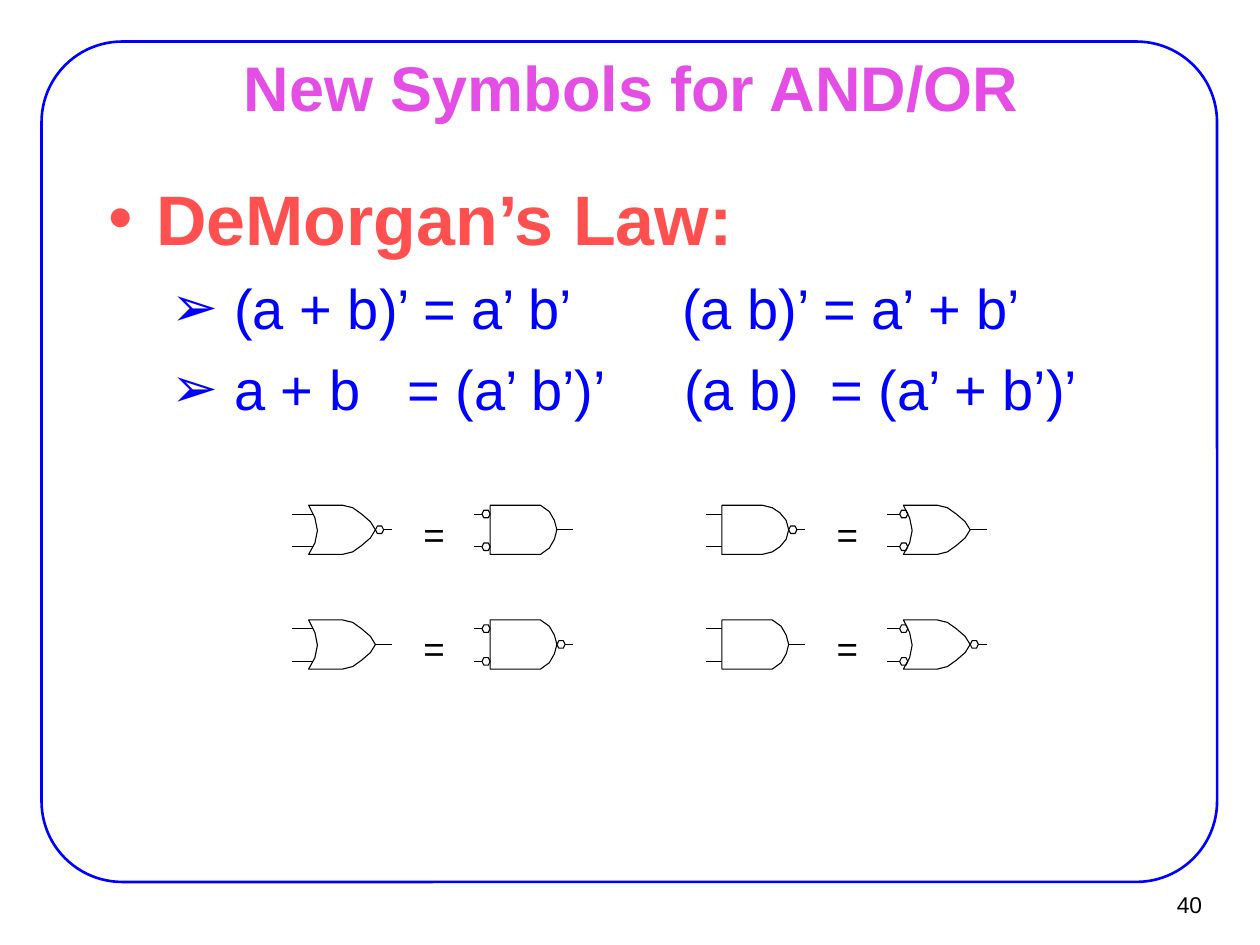
from lxml.etree import SubElement
from pptx import Presentation
from pptx.dml.color import RGBColor
from pptx.enum.shapes import MSO_CONNECTOR, MSO_SHAPE
from pptx.enum.text import MSO_ANCHOR, MSO_AUTO_SIZE, PP_ALIGN
from pptx.oxml.ns import qn
from pptx.util import Inches, Pt

BLACK, BLUE, RED, PINK = "000000", "0000FF", "FF5050", "E44EE4"
GATE_HEIGHT, GATE_WIDTH = 0.39, 0.53
LEAD, BUBBLE = 0.13, 0.065
INPUT_OFFSETS = (0.07, 0.33)
UPPER_CURVES = {
    "or": [(0.27, 0), (0.35, 0.02), (0.42, 0.07), (0.49, 0.13)],
    "and": [(0.4, 0), (0.47, 0.05), (0.51, 0.12)],
    "round and": [(0.32, 0), (0.4, 0.02), (0.46, 0.06), (0.51, 0.12)],
}
OR_BACK = [(0.05, 0.3), (0.07, 0.2), (0.05, 0.1)]
SPACE_POINTS = 8.9


def color(value):
    """Return the colour for a hex string."""
    return RGBColor.from_string(value)


def place(shape, left, top, width, height):
    """Move and size a shape in inches."""
    shape.left, shape.top = Inches(left), Inches(top)
    shape.width, shape.height = Inches(width), Inches(height)


def set_frame(shape, horizontal=0.0, vertical=0.0, wrap=True, anchor=MSO_ANCHOR.TOP):
    """Set margins, wrapping and anchor, and return the text frame."""
    frame = shape.text_frame
    frame.margin_left = frame.margin_right = Inches(horizontal)
    frame.margin_top = frame.margin_bottom = Inches(vertical)
    frame.auto_size = MSO_AUTO_SIZE.NONE
    frame.word_wrap = wrap
    frame.vertical_anchor = anchor
    return frame


def add_text(paragraph, text, size, fill, bold=False, align=PP_ALIGN.LEFT, spacing=0):
    """Append a formatted run to a paragraph."""
    paragraph.alignment = align
    run = paragraph.add_run()
    run.text = text
    run.font.name = "Arial"
    run.font.size = Pt(size)
    run.font.bold = bold
    run.font.color.rgb = color(fill)
    if spacing:
        run.font._element.set("spc", str(round(spacing * 100)))


def set_bullet(paragraph, character, fill, margin, hanging, before):
    """Give a paragraph a coloured bullet and a hanging indent."""
    paragraph.space_before = Pt(before)
    properties = paragraph._p.get_or_add_pPr()
    properties.set("marL", str(Inches(margin)))
    properties.set("indent", str(-Inches(hanging)))
    bullet_color = SubElement(properties, qn("a:buClr"))
    SubElement(bullet_color, qn("a:srgbClr"), val=fill)
    SubElement(properties, qn("a:buChar"), char=character)


def add_equations(paragraph, parts):
    """Write formula parts, widening the space after each by its gap."""
    for text, gap in parts:
        add_text(paragraph, text, 32, BLUE)
        if gap:
            add_text(paragraph, " ", 32, BLUE, spacing=(gap - 1) * SPACE_POINTS)


def outline(shape, fill, width):
    """Leave a shape unfilled with a plain outline."""
    shape.shadow.inherit = False
    shape.fill.background()
    shape.line.color.rgb = color(fill)
    shape.line.width = Pt(width)


def add_wire(group, start, end, top):
    """Add a horizontal wire."""
    wire = group.shapes.add_connector(
        MSO_CONNECTOR.STRAIGHT, Inches(start), Inches(top), Inches(end), Inches(top))
    wire.line.color.rgb = color(BLACK)
    wire.line.width = Pt(0.62)
    SubElement(wire._element.spPr, qn("a:effectLst"))


def add_bubble(group, left, middle):
    """Add an inversion bubble centred on a wire."""
    bubble = group.shapes.add_shape(
        MSO_SHAPE.HEXAGON, Inches(left), Inches(middle - 0.03), Inches(BUBBLE), Inches(0.06))
    outline(bubble, BLACK, 0.62)


def add_gate(group, kind, left, top, inverted_inputs=False, inverted_output=False):
    """Draw a gate body with its two inputs and one output."""
    upper = UPPER_CURVES[kind]
    lower = [(x, GATE_HEIGHT - y) for x, y in reversed(upper)]
    back = OR_BACK if kind == "or" else []
    points = upper + [(GATE_WIDTH, GATE_HEIGHT / 2)] + lower + [(0, GATE_HEIGHT)] + back
    builder = group.shapes.build_freeform(Inches(left), Inches(top))
    builder.add_line_segments(
        [(Inches(left + x), Inches(top + y)) for x, y in points], close=True)
    outline(builder.convert_to_shape(), BLACK, 0.62)

    contact = left + (0.035 if kind == "or" else 0)
    for offset in INPUT_OFFSETS:
        if inverted_inputs:
            add_bubble(group, contact - BUBBLE, top + offset)
        end = contact - BUBBLE if inverted_inputs else contact
        add_wire(group, left - LEAD, end, top + offset)

    right, middle = left + GATE_WIDTH, top + GATE_HEIGHT / 2
    if inverted_output:
        add_bubble(group, right, middle)
    start = right + BUBBLE if inverted_output else right
    add_wire(group, start, right + LEAD, middle)


def add_equivalence(slide, left, top, first, second, inverted_first):
    """Draw two equal gates; exactly one of them has an inverted output."""
    group = slide.shapes.add_group_shape()
    add_gate(group, first, left, top, inverted_output=inverted_first)
    add_gate(group, second, left + 1.44, top, True, not inverted_first)
    sign = group.shapes.add_textbox(
        Inches(left + 0.91), Inches(top + 0.05), Inches(0.17), Inches(0.35))
    add_text(set_frame(sign, wrap=False).paragraphs[0], "=", 21, BLACK)


def add_border_and_number(slide):
    """Add the rounded border and the page number."""
    border = slide.shapes.add_shape(
        MSO_SHAPE.ROUNDED_RECTANGLE, Inches(0.33), Inches(0.33), Inches(9.33), Inches(6.67))
    border.adjustments[0] = 0.096
    outline(border, BLUE, 1.5)
    number = slide.shapes.add_textbox(
        Inches(9.02), Inches(6.99), Inches(0.61), Inches(0.37))
    frame = set_frame(number, 0.09, 0.04, wrap=False, anchor=MSO_ANCHOR.MIDDLE)
    add_text(frame.paragraphs[0], "40", 13, BLACK, align=PP_ALIGN.RIGHT)


def fill_placeholders(slide):
    """Fill the title and the list of laws."""
    title, body = slide.placeholders
    place(title, 0.76, 0.44, 8.5, 0.49)
    frame = set_frame(title, 0.11, 0.06, anchor=MSO_ANCHOR.MIDDLE)
    add_text(frame.paragraphs[0], "New Symbols for AND/OR", 36, PINK,
             bold=True, align=PP_ALIGN.CENTER)

    place(body, 0.75, 1.33, 8.5, 5.08)
    frame = set_frame(body, 0.11, 0.06)
    heading = frame.paragraphs[0]
    set_bullet(heading, "•", RED, 0.38, 0.38, 10)
    add_text(heading, "DeMorgan’s Law:", 40, RED, bold=True)
    laws = (
        [("(a + b)’ = a’ b’", 7), ("(a b)’ = a’ + b’", 0)],
        [("a + b", 3), ("= (a’ b’)’", 5), ("(a b)", 2), ("= (a’ + b’)’", 0)],
    )
    for parts in laws:
        paragraph = frame.add_paragraph()
        paragraph.level = 1
        set_bullet(paragraph, "➢", BLUE, 1, 0.5, 8)
        add_equations(paragraph, parts)


def main():
    """Build and save the slide."""
    presentation = Presentation()
    presentation.slide_width, presentation.slide_height = Inches(10), Inches(7.5)
    slide = presentation.slides.add_slide(presentation.slide_layouts[1])
    add_border_and_number(slide)
    fill_placeholders(slide)
    for top, right_gate, inverted in ((4.01, "round and", True), (4.92, "and", False)):
        add_equivalence(slide, 2.45, top, "or", "and", inverted)
        add_equivalence(slide, 5.73, top, right_gate, "or", inverted)
    presentation.save("out.pptx")


if __name__ == "__main__":
    main()
